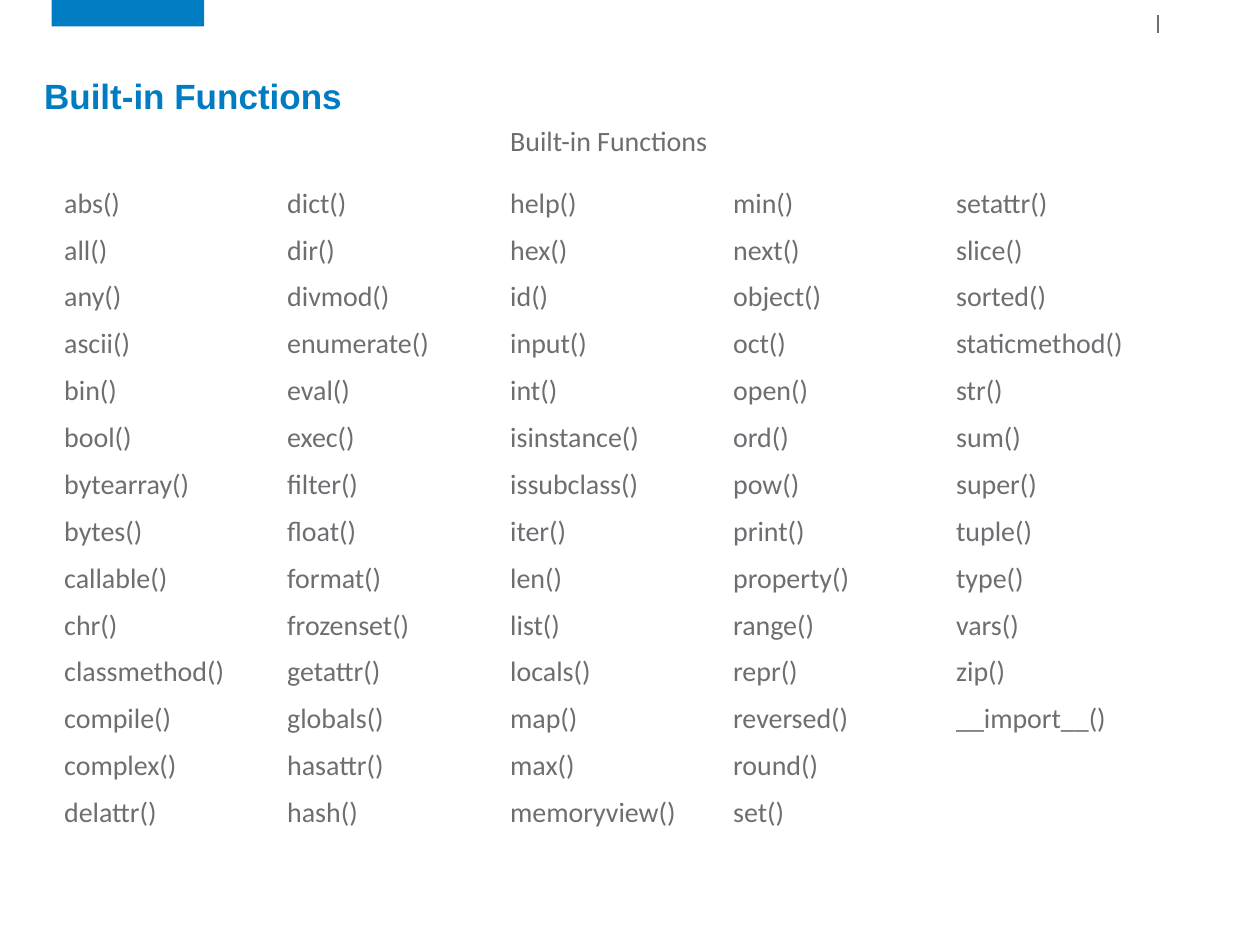
"""Build a slide listing the Python built-in functions in a five-column table."""
from lxml.etree import SubElement
from pptx import Presentation
from pptx.dml.color import RGBColor
from pptx.enum.shapes import MSO_CONNECTOR, MSO_SHAPE
from pptx.enum.text import MSO_ANCHOR, MSO_AUTO_SIZE, PP_ALIGN
from pptx.oxml.ns import qn
from pptx.util import Inches, Pt

COLORS = {"blue": "007CC3", "gray": "6D6E71"}
HEADING = "Built-in Functions"
FUNCTION_COLUMNS = [
    "abs all any ascii bin bool bytearray bytes callable chr classmethod compile complex delattr",
    "dict dir divmod enumerate eval exec filter float format frozenset getattr globals hasattr hash",
    "help hex id input int isinstance issubclass iter len list locals map max memoryview",
    "min next object oct open ord pow print property range repr reversed round set",
    "setattr slice sorted staticmethod str sum super tuple type vars zip __import__",
]
ROW_COUNT = 15
COLUMN_WIDTH = 1.77
HEADER_HEIGHT = 0.6
ROW_HEIGHT = 0.35


def add_run(paragraph, text, font_name, size, color, bold=False):
    run = paragraph.add_run()
    run.text = text
    run.font.name = font_name
    run.font.size = Pt(size)
    run.font.bold = bold
    run.font.color.rgb = RGBColor.from_string(COLORS[color])


def clear_borders(cell):
    cell_properties = cell._tc.get_or_add_tcPr()
    for side in ("lnL", "lnR", "lnT", "lnB"):
        border = SubElement(cell_properties, qn(f"a:{side}"), w="0")
        SubElement(border, qn("a:noFill"))


prs = Presentation()
prs.slide_width = Inches(10)
prs.slide_height = Inches(7.5)
slide = prs.slides.add_slide(prs.slide_layouts[5])

accent_bar = slide.shapes.add_shape(
    MSO_SHAPE.RECTANGLE, Inches(0.41), Inches(0), Inches(1.21), Inches(0.21))
accent_bar.shadow.inherit = False
accent_bar.fill.solid()
accent_bar.fill.fore_color.rgb = RGBColor.from_string(COLORS["blue"])
accent_bar.line.fill.background()

page_divider = slide.shapes.add_connector(
    MSO_CONNECTOR.STRAIGHT, Inches(9.19), Inches(0.12), Inches(9.19), Inches(0.26))
page_divider.line.color.rgb = RGBColor.from_string(COLORS["gray"])
page_divider.line.width = Pt(1)
SubElement(page_divider._element.spPr, qn("a:effectLst"))

title = slide.shapes.title
title.left, title.top = Inches(0.25), Inches(0.21)
title.width, title.height = Inches(9.5), Inches(0.77)
title.text_frame.auto_size = MSO_AUTO_SIZE.NONE
title.text_frame.vertical_anchor = MSO_ANCHOR.BOTTOM
title_line = title.text_frame.paragraphs[0]
title_line.alignment = PP_ALIGN.LEFT
title_line.line_spacing = 0.9
add_run(title_line, HEADING, "Arial", 20, "blue", bold=True)

function_table = slide.shapes.add_table(
    ROW_COUNT, len(FUNCTION_COLUMNS), Inches(0.42), Inches(0.83),
    Inches(COLUMN_WIDTH * len(FUNCTION_COLUMNS)),
    Inches(HEADER_HEIGHT + ROW_HEIGHT * (ROW_COUNT - 1))).table
function_table.first_row = False
function_table.horz_banding = False
for column in function_table.columns:
    column.width = Inches(COLUMN_WIDTH)
for row_index, row in enumerate(function_table.rows):
    row.height = Inches(ROW_HEIGHT if row_index else HEADER_HEIGHT)

for column_index, names in enumerate(FUNCTION_COLUMNS):
    header = HEADING if column_index == 2 else ""
    entries = [header] + [f"{name}()" for name in names.split()]
    for row_index in range(ROW_COUNT):
        cell = function_table.cell(row_index, column_index)
        clear_borders(cell)
        cell.fill.background()
        cell.vertical_anchor = MSO_ANCHOR.MIDDLE
        cell.margin_left = cell.margin_right = Inches(0.09)
        cell.margin_top = cell.margin_bottom = Inches(0.05)
        paragraph = cell.text_frame.paragraphs[0]
        if row_index < len(entries) and entries[row_index]:
            add_run(paragraph, entries[row_index], "Calibri", 16, "gray")
        else:
            SubElement(paragraph._p, qn("a:endParaRPr"), sz="1600")

prs.save("out.pptx")
